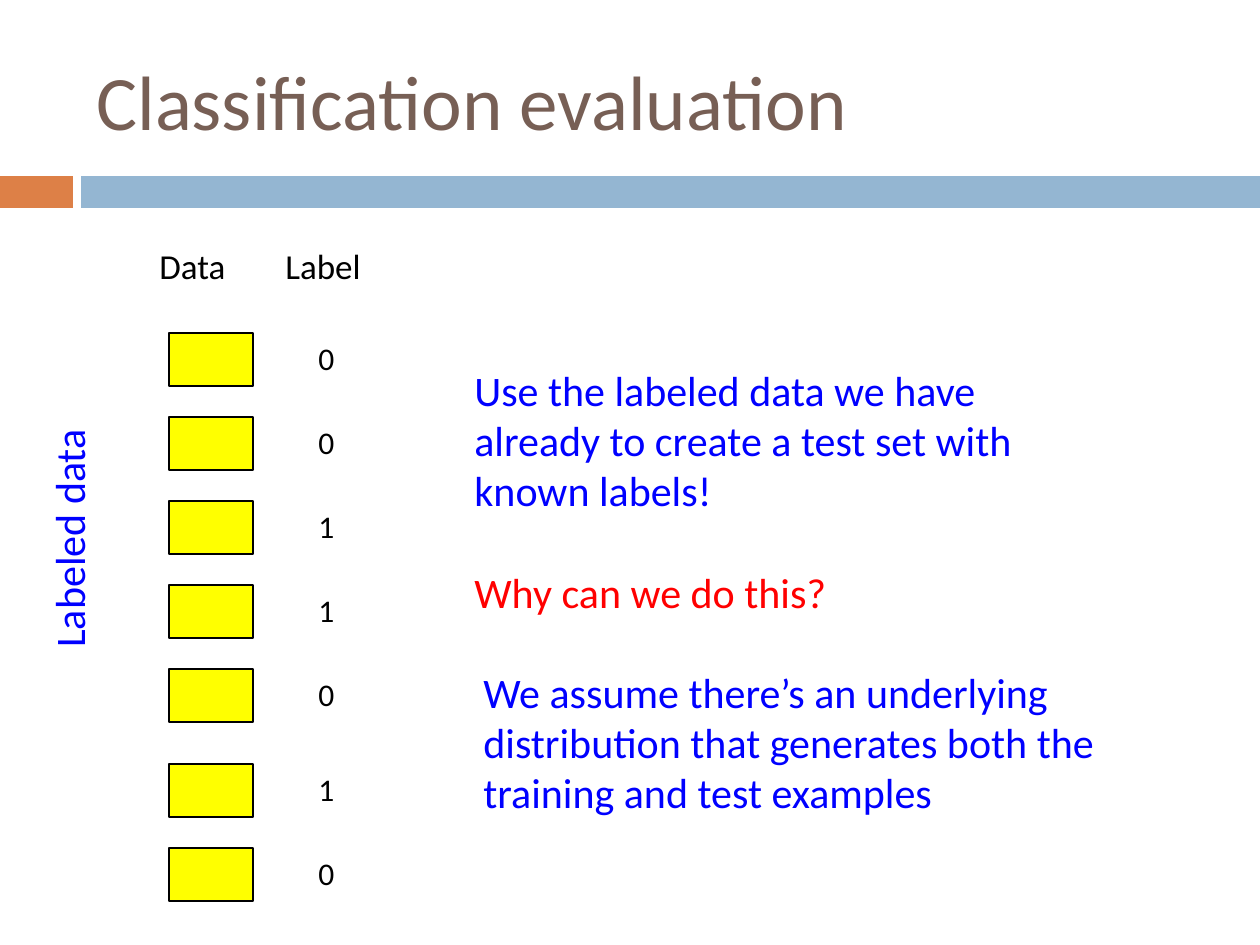
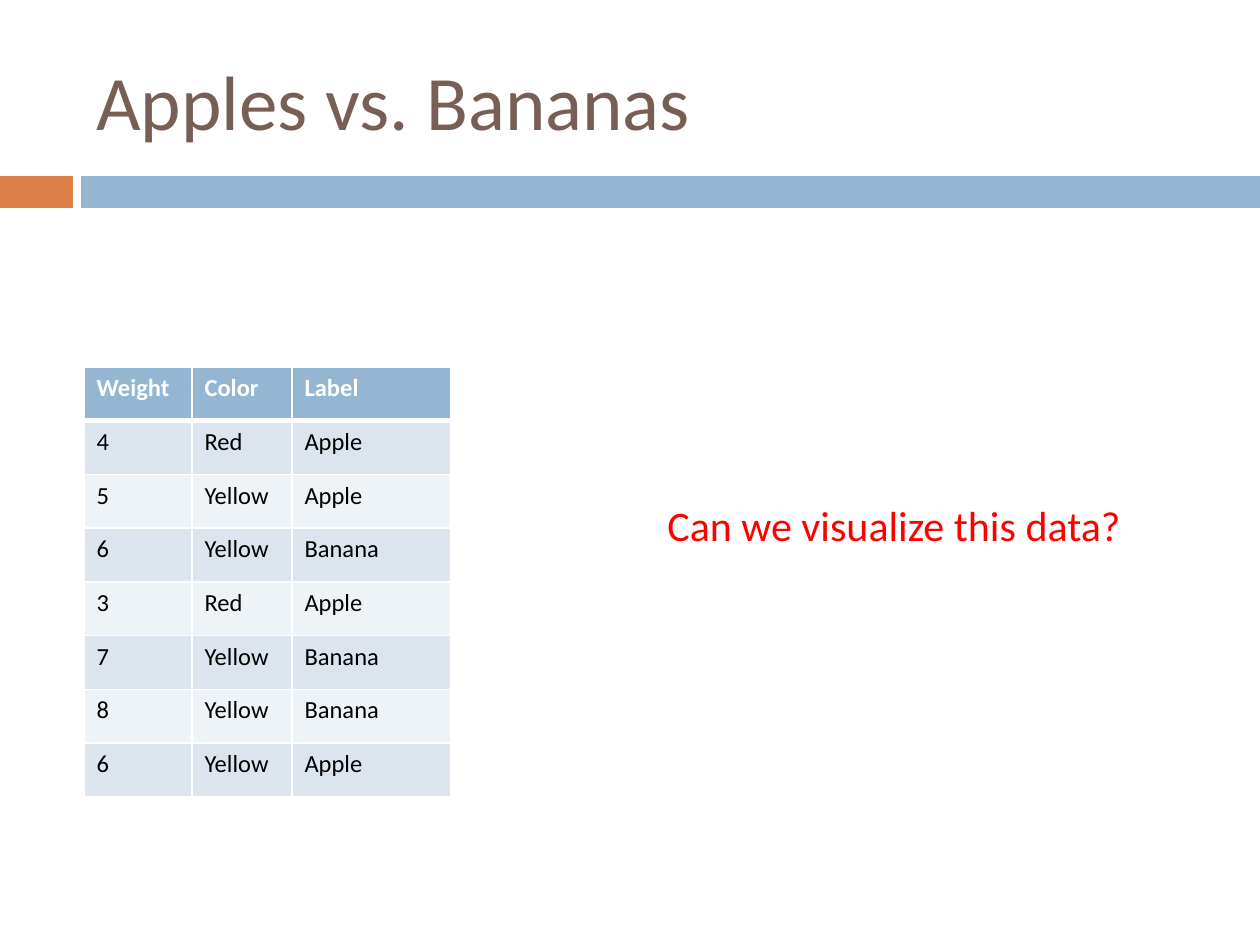
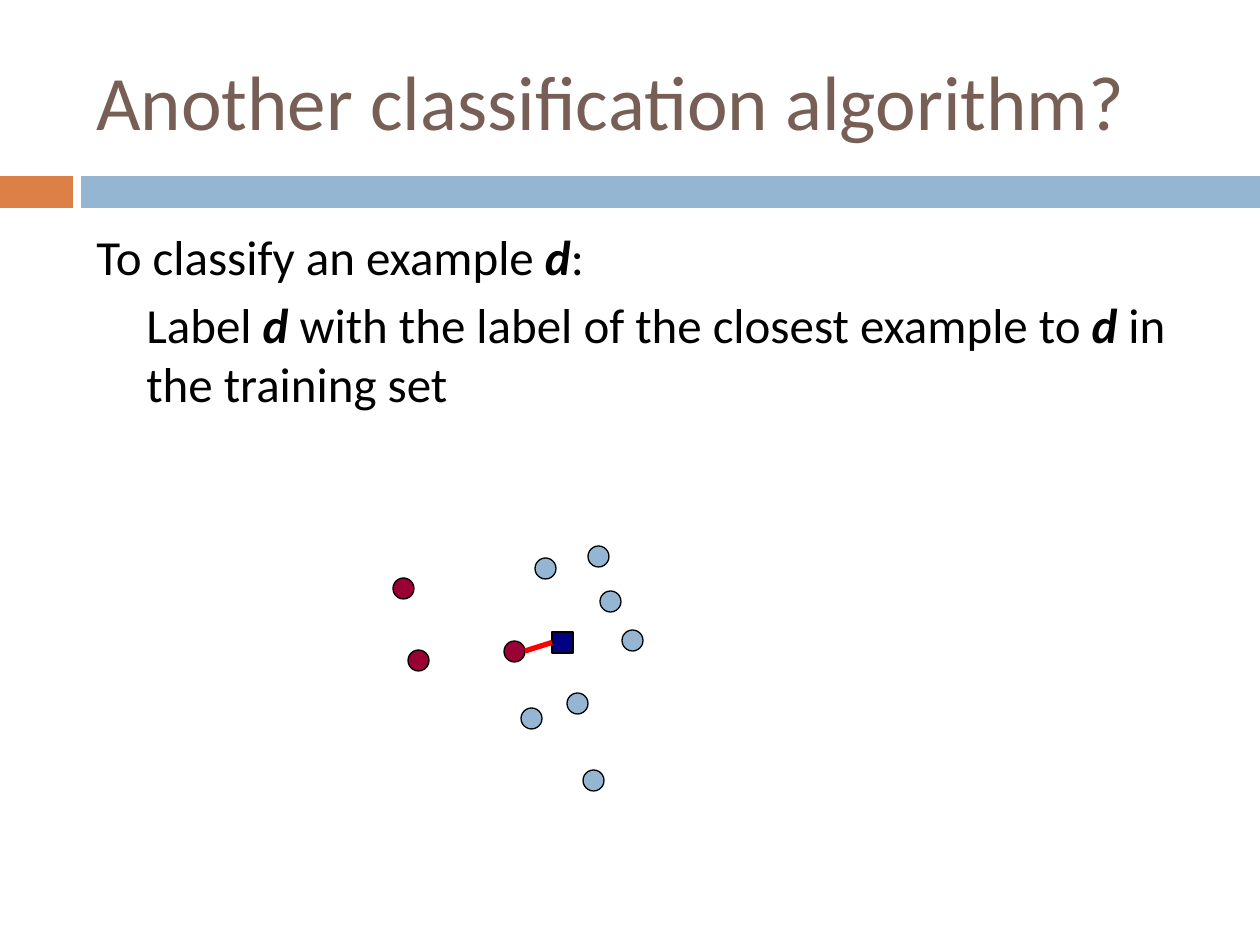
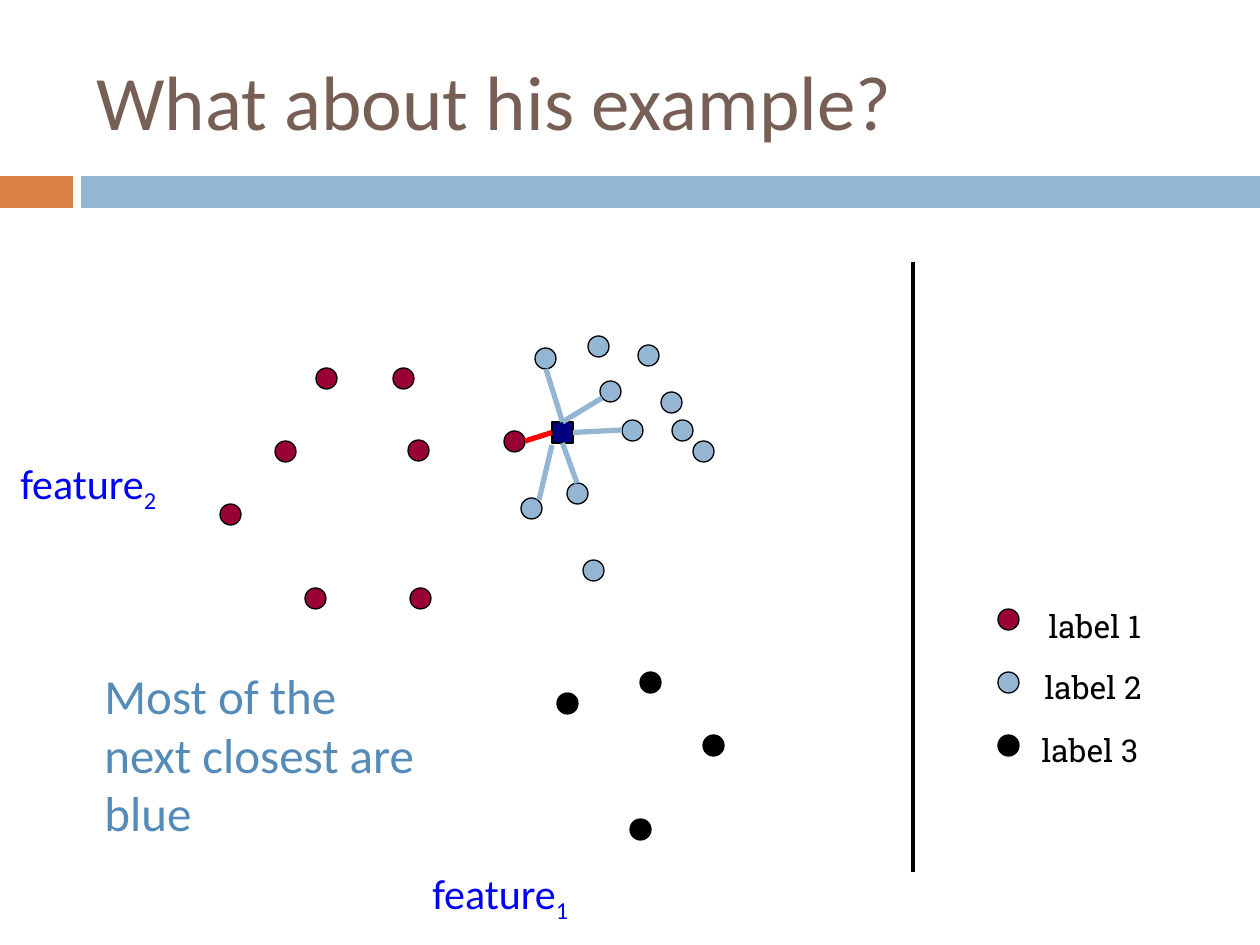
"""Builds four slides on classification, from labeled data to nearest neighbours."""
import dataclasses

import lxml.etree
import pptx
import pptx.dml.color
import pptx.enum.shapes
import pptx.enum.text
import pptx.oxml
import pptx.oxml.ns
import pptx.util


@dataclasses.dataclass(frozen=True)
class Theme:
    font: str = "Calibri"
    legend_font: str = "Roboto Slab"
    brown: str = "775F55"
    orange: str = "DD8047"
    sky: str = "94B6D2"
    steel: str = "558BB8"
    band_dark: str = "DCE5EE"
    band_light: str = "EEF3F7"
    white: str = "FFFFFF"
    black: str = "000000"
    blue: str = "0000FF"
    red: str = "FF0000"
    yellow: str = "FFFF00"
    crimson: str = "990033"
    navy: str = "000080"
    title: int = 44
    body: int = 28
    note: int = 24
    heading: int = 20
    label: int = 18
    cell: int = 14


THEME = Theme()
PX = 914400 / 126
RGB = pptx.dml.color.RGBColor.from_string
SHAPES = pptx.enum.shapes.MSO_SHAPE


def write_text(slide, box, paragraphs, size, color, wrap=True, font=THEME.font):
    """Add a text box; each paragraph is a string or a list of (text, role) runs."""
    shape = slide.shapes.add_textbox(*(round(length * PX) for length in box))
    frame = shape.text_frame
    frame.word_wrap = wrap
    if not wrap:
        frame.auto_size = pptx.enum.text.MSO_AUTO_SIZE.SHAPE_TO_FIT_TEXT
    for index, runs in enumerate(paragraphs):
        paragraph = frame.add_paragraph() if index else frame.paragraphs[0]
        paragraph.font.name = font
        paragraph.font.size = pptx.util.Pt(size)
        paragraph.font.color.rgb = RGB(color)
        for text, role in [(runs, "plain")] if isinstance(runs, str) else runs:
            run = paragraph.add_run()
            run.text = text
            if role == "term":
                run.font.bold = run.font.italic = True
            if role == "subscript":
                run._r.get_or_add_rPr().set("baseline", "-25000")
    return shape


def add_figure(slide, kind, box, fill, outline=None):
    """Add a filled preset shape, with a thin outline if a colour is given."""
    shape = slide.shapes.add_shape(kind, *(round(length * PX) for length in box))
    shape.shadow.inherit = False
    shape.fill.solid()
    shape.fill.fore_color.rgb = RGB(fill)
    if outline:
        shape.line.color.rgb = RGB(outline)
        shape.line.width = pptx.util.Pt(0.75)
    else:
        shape.line.fill.background()
    return shape


presentation = pptx.Presentation()
presentation.slide_width = round(1260 * PX)
presentation.slide_height = round(945 * PX)

titles = ["Classification evaluation", "Apples vs. Bananas",
          "Another classification algorithm?", "What about his example?"]
slides = []
for title in titles:
    slide = presentation.slides.add_slide(presentation.slide_layouts[6])
    add_figure(slide, SHAPES.RECTANGLE, (0, 176, 73, 32), THEME.orange)
    add_figure(slide, SHAPES.RECTANGLE, (81, 176, 1179, 32), THEME.sky)
    heading = write_text(slide, (84, 32, 1124, 136), [title], THEME.title, THEME.brown)
    heading.text_frame.vertical_anchor = pptx.enum.text.MSO_ANCHOR.MIDDLE
    slides.append(slide)
evaluation, fruit, nearest, neighbours = slides

write_text(evaluation, (147, 238, 100, 55), ["Data"], THEME.heading, THEME.black, wrap=False)
write_text(evaluation, (273, 238, 112, 55), ["Label"], THEME.heading, THEME.black, wrap=False)
for row, label in enumerate("0011010"):
    top = 333 + 84 * row + (11 if row > 4 else 0)
    add_figure(evaluation, SHAPES.RECTANGLE, (169, top, 84, 53), THEME.yellow, THEME.black)
    write_text(evaluation, (306, top, 43, 50), [label], THEME.label, THEME.black, wrap=False)
side_label = write_text(evaluation, (-67, 493, 271, 63), ["Labeled data"],
                        THEME.note, THEME.blue, wrap=False)
side_label.rotation = 270
advice = write_text(evaluation, (462, 358, 622, 267), [
    "Use the labeled data we have already to create a test set with known labels!",
    "Why can we do this?"], THEME.note, THEME.blue)
question = advice.text_frame.paragraphs[1]
question.space_before = pptx.util.Pt(29)
question.font.color.rgb = RGB(THEME.red)
write_text(evaluation, (471, 660, 658, 165), [
    "We assume there’s an underlying distribution that generates both the "
    "training and test examples"], THEME.note, THEME.blue)

records = [("Weight", "Color", "Label"), ("4", "Red", "Apple"), ("5", "Yellow", "Apple"),
           ("6", "Yellow", "Banana"), ("3", "Red", "Apple"), ("7", "Yellow", "Banana"),
           ("8", "Yellow", "Banana"), ("6", "Yellow", "Apple")]
column_widths = (108, 100, 159)
table_box = (84, 367, sum(column_widths), 430)
table = fruit.shapes.add_table(len(records), len(column_widths),
                               *(round(length * PX) for length in table_box)).table
for column, width in zip(table.columns, column_widths):
    column.width = round(width * PX)
for row, record in enumerate(records):
    band = THEME.band_dark if row % 2 else THEME.band_light
    for column, text in enumerate(record):
        cell = table.cell(row, column)
        cell.text = text
        cell.fill.solid()
        cell.fill.fore_color.rgb = RGB(band if row else THEME.sky)
        paragraph = cell.text_frame.paragraphs[0]
        paragraph.font.name = THEME.font
        paragraph.font.size = pptx.util.Pt(THEME.cell)
        paragraph.font.bold = row == 0
        paragraph.font.color.rgb = RGB(THEME.black if row else THEME.white)
        properties = cell._tc.get_or_add_tcPr()
        for index, side in enumerate(("lnL", "lnR", "lnT", "lnB")):
            heavy = (row, side) in ((0, "lnB"), (1, "lnT"))
            border = lxml.etree.Element(pptx.oxml.ns.qn(f"a:{side}"),
                                        w=str(pptx.util.Pt(3 if heavy else 1)))
            fill = lxml.etree.SubElement(border, pptx.oxml.ns.qn("a:solidFill"))
            lxml.etree.SubElement(fill, pptx.oxml.ns.qn("a:srgbClr"), val=THEME.white)
            properties.insert(index, border)
write_text(fruit, (655, 493, 483, 63), ["Can we visualize this data?"],
           THEME.note, THEME.red, wrap=False)

rule = write_text(nearest, (84, 220, 1124, 620), [
    [("To classify an example ", "plain"), ("d", "term"), (":", "plain")],
    [("Label ", "plain"), ("d", "term"),
     (" with the label of the closest example to ", "plain"), ("d", "term"),
     (" in the training set", "plain")]], THEME.body, THEME.black)
for paragraph, space in zip(rule.text_frame.paragraphs, (7, 5.5)):
    paragraph.space_before = pptx.util.Pt(space)
step = rule.text_frame.paragraphs[1]
step.level = 1
step_properties = step._p.get_or_add_pPr()
step_properties.set("marL", str(round(50 * PX)))
step_properties.set("indent", "0")

DOT = 21
near_points = {
    THEME.crimson: [(393, 368), (408, 440), (504, 431)],
    THEME.sky: [(567, 483), (588, 336), (583, 560), (622, 420), (600, 381),
                (535, 348), (521, 498)],
}
far_points = {
    THEME.crimson: [(316, 368), (275, 441), (305, 588), (220, 504), (410, 588)],
    THEME.sky: [(672, 420), (693, 441), (661, 392), (638, 345)],
    THEME.black: [(640, 672), (557, 693), (630, 819), (703, 735)],
}
queries = {}
for slide, drop, groups in ((nearest, 210, [near_points]),
                            (neighbours, 0, [near_points, far_points])):
    for group in groups:
        for color, points in group.items():
            for left, top in points:
                add_figure(slide, SHAPES.OVAL, (left, top + drop, DOT, DOT), color, THEME.black)
    queries[slide.slide_id] = add_figure(slide, SHAPES.RECTANGLE, (552, 422 + drop, DOT, DOT),
                                         THEME.navy, THEME.black)

lines = [
    (nearest, (525, 651), (552, 643), THEME.red, 3, 1),
    (neighbours, (525, 441), (552, 433), THEME.red, 3, 1),
    (neighbours, (602, 398), (562, 422), THEME.sky, 3, 0),
    (neighbours, (622, 430), (573, 433), THEME.sky, 3, 3),
    (neighbours, (577, 483), (562, 443), THEME.sky, 3, 2),
    (neighbours, (546, 369), (562, 422), THEME.sky, 3, 0),
    (neighbours, (539, 500), (552, 445), THEME.sky, 3, None),
    (neighbours, (913, 262), (913, 872), THEME.black, 2.25, None),
]
for slide, start, end, color, width, side in lines:
    connector = slide.shapes.add_connector(
        pptx.enum.shapes.MSO_CONNECTOR.STRAIGHT,
        *(round(length * PX) for length in start + end))
    connector.line.color.rgb = RGB(color)
    connector.line.width = pptx.util.Pt(width)
    lxml.etree.SubElement(connector._element.spPr, pptx.oxml.ns.qn("a:effectLst"))
    if side is not None:
        connector.end_connect(queries[slide.slide_id], side)

legend = [("label 1", THEME.crimson, 1036, 601), ("label 2", THEME.sky, 1032, 662),
          ("label 3", THEME.black, 1029, 725)]
for row, (text, color, left, top) in enumerate(legend):
    add_figure(neighbours, SHAPES.OVAL, (998, 609 + 63 * row, DOT, DOT), color, THEME.black)
    entry = write_text(neighbours, (left, top, 125, 50), [text], THEME.label, THEME.black,
                       wrap=False, font=THEME.legend_font)
    entry.text_frame.paragraphs[0].space_before = pptx.util.Pt(4)

for number, left, top in (("1", 420, 861), ("2", 8, 451)):
    write_text(neighbours, (left, top, 168, 63),
               [[("feature", "plain"), (number, "subscript")]], THEME.note, THEME.blue)
write_text(neighbours, (92, 659, 347, 131), ["Most of the next closest are blue"],
           THEME.body, THEME.steel)

presentation.save("out.pptx")
